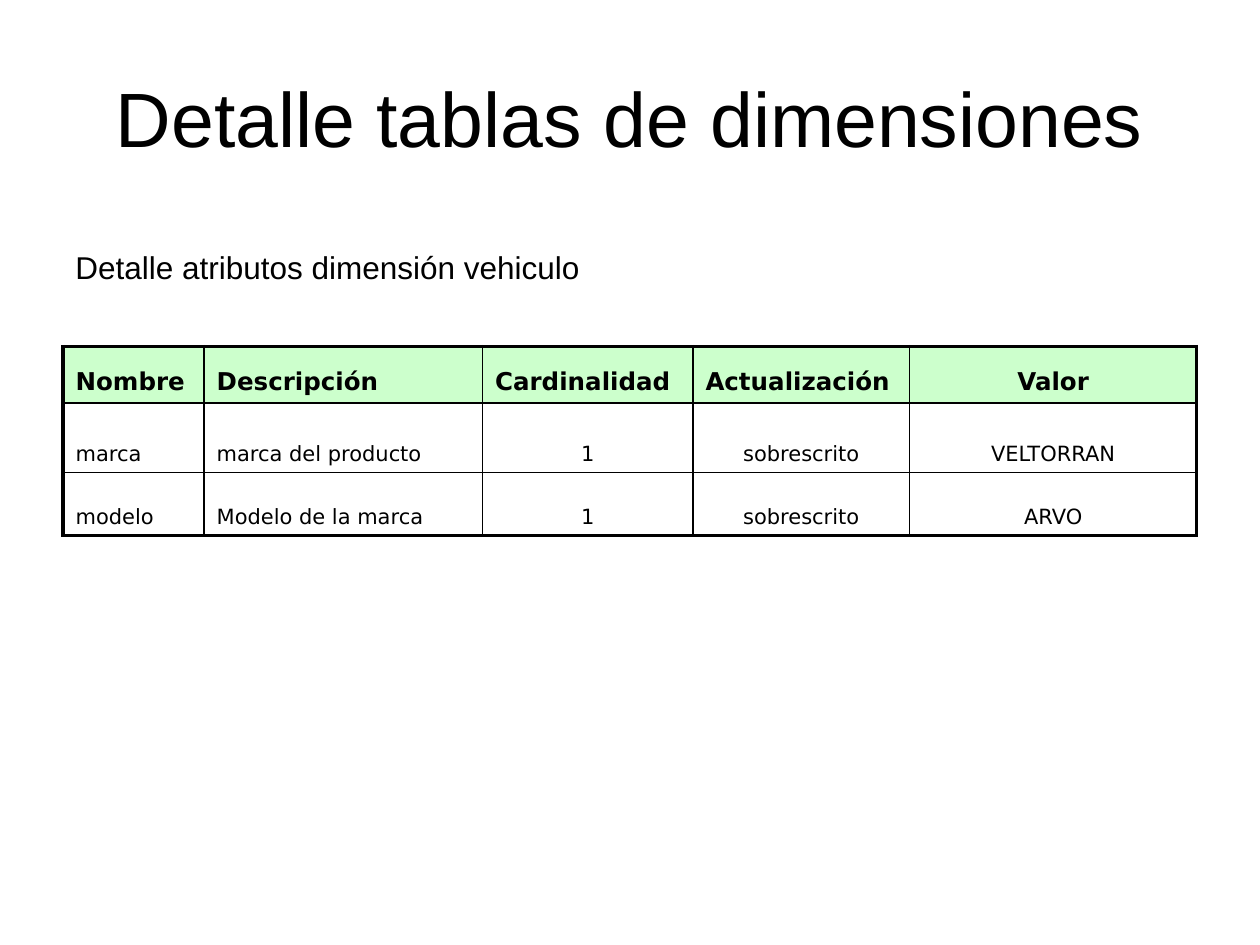
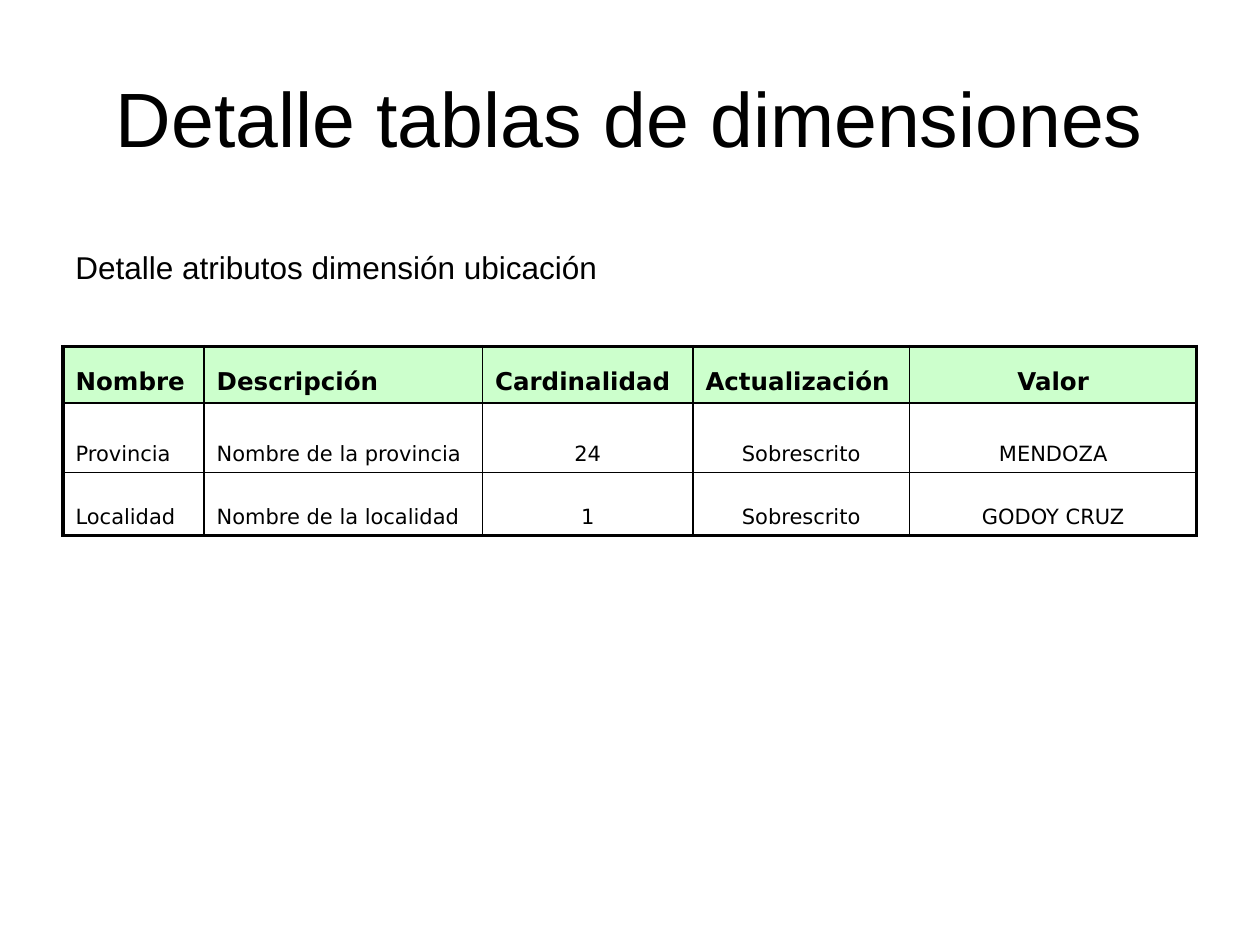
from lxml import etree
from pptx import Presentation
from pptx.dml.color import RGBColor
from pptx.enum.text import MSO_ANCHOR, MSO_AUTO_SIZE, PP_ALIGN
from pptx.oxml.ns import qn
from pptx.util import Inches, Pt

LEFT, CENTER = PP_ALIGN.LEFT, PP_ALIGN.CENTER
MIDDLE, BOTTOM = MSO_ANCHOR.MIDDLE, MSO_ANCHOR.BOTTOM
GROW = MSO_AUTO_SIZE.SHAPE_TO_FIT_TEXT

BLACK, GREEN = "000000", "CCFFCC"
TITLE_FONT = {"name": "Arial", "size": Pt(44)}
SUBTITLE_FONT = {"name": "Arial", "size": Pt(18)}
HEADER_FONT = {"name": "DejaVu Sans", "size": Pt(14), "bold": True}
BODY_FONT = {"name": "DejaVu Sans", "size": Pt(12), "bold": False}

TITLE = "Detalle tablas de dimensiones"
TITLE_BOX = (0.5, 0.3, 9, 1.25)
TABLE_BOX = (0.5, 2.75, 9, 1.5)
COLUMN_WIDTHS = [1.12, 2.21, 1.67, 1.72, 2.28]
ROW_HEIGHTS = [0.45, 0.55, 0.5]
HEADERS = ["Nombre", "Descripción", "Cardinalidad", "Actualización", "Valor"]
HEADER_ALIGN = [LEFT, LEFT, LEFT, LEFT, CENTER]
BODY_ALIGN = [LEFT, LEFT, CENTER, CENTER, CENTER]
HANGING = Inches(0.38)
THIN, THICK = 1, 2

# Subtitle, its width and the attribute rows of each dimension
DIMENSIONS = [
    ("Detalle atributos dimensión vehiculo", 4.2, [
        ["marca", "marca del producto", "1", "sobrescrito", "VELTORRAN"],
        ["modelo", "Modelo de la marca", "1", "sobrescrito", "ARVO"],
    ]),
    ("Detalle atributos dimensión ubicación", 4.34, [
        ["Provincia", "Nombre de la provincia", "24", "Sobrescrito", "MENDOZA"],
        ["Localidad", "Nombre de la localidad", "1", "Sobrescrito", "GODOY CRUZ"],
    ]),
]


def color(value):
    return RGBColor.from_string(value)


def write(para, text, font, align):
    para.alignment = align
    span = para.add_run()
    span.text = text
    for name, value in font.items():
        setattr(span.font, name, value)
    span.font.color.rgb = color(BLACK)


def add_text(page, box, text, font, align, **frame_format):
    frame = page.shapes.add_textbox(*map(Inches, box)).text_frame
    for name, value in frame_format.items():
        setattr(frame, name, value)
    write(frame.paragraphs[0], text, font, align)


def set_borders(cell, widths):
    """Draw the left, right, top and bottom borders, which precede the fill."""
    properties = cell._tc.get_or_add_tcPr()
    for position, (side, width) in enumerate(zip("LRTB", widths)):
        line = etree.Element(qn(f"a:ln{side}"), w=str(Pt(width)))
        fill = etree.SubElement(line, qn("a:solidFill"))
        etree.SubElement(fill, qn("a:srgbClr"), val=BLACK)
        properties.insert(position, line)


def fill_cell(cell, text, font, align, fill):
    cell.vertical_anchor = BOTTOM
    if fill:
        cell.fill.solid()
        cell.fill.fore_color.rgb = color(fill)
    else:
        cell.fill.background()
    para = cell.text_frame.paragraphs[0]
    indents = para._p.get_or_add_pPr()
    indents.set("marL", str(HANGING))
    indents.set("indent", str(-HANGING))
    write(para, text, font, align)


def add_attribute_table(page, box, body):
    rows = [HEADERS] + body
    last_row, last_column = len(rows) - 1, len(HEADERS) - 1
    table = page.shapes.add_table(len(rows), len(HEADERS), *map(Inches, box)).table
    table.first_row = table.horz_banding = False
    for column, width in zip(table.columns, COLUMN_WIDTHS):
        column.width = Inches(width)
    for row, height in zip(table.rows, ROW_HEIGHTS):
        row.height = Inches(height)

    for r, texts in enumerate(rows):
        font, aligns, fill = ((BODY_FONT, BODY_ALIGN, None) if r
                              else (HEADER_FONT, HEADER_ALIGN, GREEN))
        for c, text in enumerate(texts):
            cell = table.cell(r, c)
            fill_cell(cell, text, font, aligns[c], fill)
            # Thick lines only around the outside of the table
            outer = (c == 0, c == last_column, r == 0, r == last_row)
            set_borders(cell, [THICK if edge else THIN for edge in outer])


def add_dimension_page(deck, subtitle, subtitle_width, body):
    page = deck.slides.add_slide(deck.slide_layouts[6])
    add_attribute_table(page, TABLE_BOX, body)
    add_text(page, (0.5, 1.92, subtitle_width, 0.4), subtitle, SUBTITLE_FONT, LEFT,
             word_wrap=False, auto_size=GROW)
    add_text(page, TITLE_BOX, TITLE, TITLE_FONT, CENTER,
             word_wrap=True, vertical_anchor=MIDDLE)


def main():
    deck = Presentation()
    deck.slide_width, deck.slide_height = Inches(10), Inches(7.5)
    for dimension in DIMENSIONS:
        add_dimension_page(deck, *dimension)
    deck.save("out.pptx")


if __name__ == "__main__":
    main()
